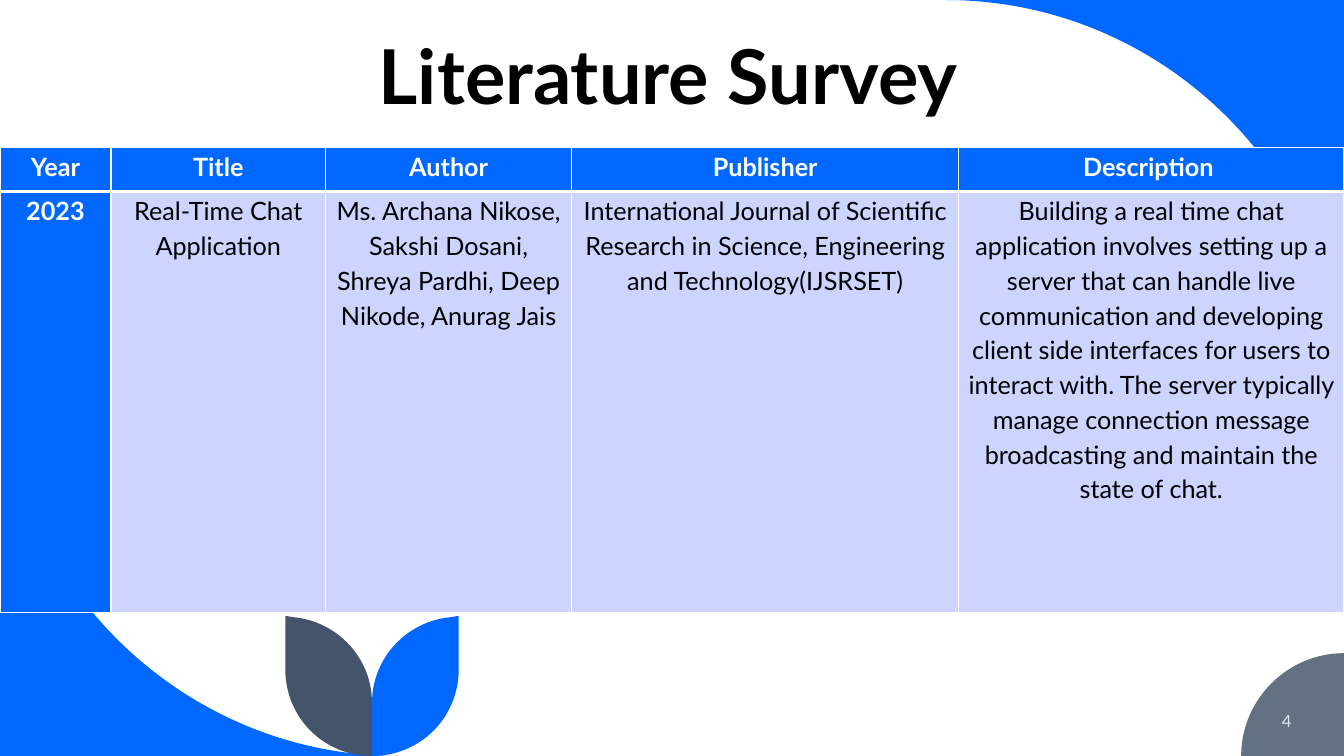
import lxml.etree
import pptx
import pptx.dml.color
import pptx.enum.text
import pptx.oxml.ns
import pptx.util

WIDTH, HEIGHT = 13.33, 7.5
FONT = "Lato"
BLUE, SLATE, GREY, LAVENDER = "0068FF", "44546A", "637183", "CCD4FF"
WHITE, BLACK, PALE = "FFFFFF", "000000", "DAE5EF"
CORNER = [[(1, 1)], [(1, 0.45), (0.55, 0), (0, 0)], [(1, 0)]]
QUARTER_DISC = [[(1, 0)], [(0.45, 0), (0, 0.45), (0, 1)], [(1, 1)]]
LEAF = [[(1, 0)], [(1, 0.38)], [(1, 0.73), (0.55, 1), (0, 1)], [(0, 0.62)],
        [(0, 0.3), (0.4, 0.04), (0.9, 0.01)]]
COLUMN_WIDTHS = [1.1, 2.13, 2.44, 3.84, 3.82]
ROW_HEIGHTS = [0.44, 4.18]
SURVEY = [
    ["Year", "Title", "Author", "Publisher", "Description "],
    [
        "2023",
        "Real-Time Chat Application",
        "Ms. Archana Nikose, Sakshi Dosani, Shreya Pardhi, Deep Nikode, Anurag Jais",
        "International Journal of Scientific Research in Science, Engineering "
        "and Technology(IJSRSET)",
        "Building a real time chat application involves setting up a server that can "
        "handle live communication and developing client side interfaces for users to "
        "interact with. The server typically manage connection message broadcasting "
        "and maintain the state of chat.",
    ],
]


def color(value):
    """Turn a hex string into a colour."""
    return pptx.dml.color.RGBColor.from_string(value)


def inches(*lengths):
    """Convert several lengths to slide units."""
    return [pptx.util.Inches(length) for length in lengths]


def add_run(paragraph, text, size, hex_color, bold=False):
    """Append a formatted run to a paragraph."""
    run = paragraph.add_run()
    run.text = text
    run.font.name = FONT
    run.font.size = pptx.util.Pt(size)
    run.font.bold = bold
    run.font.color.rgb = color(hex_color)


def bend_lines(shape, segments):
    """Merge the lines through control points into Bezier curves."""
    lines = iter(list(shape._element.iter(pptx.oxml.ns.qn("a:lnTo"))))
    for segment in segments:
        members = [next(lines) for _ in segment]
        if len(members) == 3:
            members[0].tag = pptx.oxml.ns.qn("a:cubicBezTo")
            for member in members[1:]:
                members[0].append(member[0])
                member.getparent().remove(member)


def add_outline(shapes, box, segments, fill, flip_x=False, flip_y=False):
    """Draw a filled outline in a box, mirrored if asked."""
    left, top, width, height = box
    points = [inches(left + width * (1 - x if flip_x else x),
                     top + height * (1 - y if flip_y else y))
              for segment in segments for x, y in segment]
    builder = shapes.build_freeform(*points[0], scale=1.0)
    builder.add_line_segments(points[1:], close=False)
    builder.add_line_segments([], close=True)
    shape = builder.convert_to_shape()
    bend_lines(shape, segments[1:])
    shape.shadow.inherit = False
    shape.fill.solid()
    shape.fill.fore_color.rgb = color(fill)
    shape.line.fill.background()


def add_decoration(slide, corner, disc, leaf_width, leaf_height):
    """Draw the two corners, the quarter disc and the pair of leaves."""
    shapes = slide.shapes
    add_outline(shapes, (WIDTH - corner, 0, corner, corner), CORNER, BLUE)
    add_outline(shapes, (0, HEIGHT - corner, corner, corner), CORNER, BLUE, True, True)
    add_outline(shapes, (WIDTH - disc, HEIGHT - disc, disc, disc), QUARTER_DISC, GREY)
    stem, top = 3.69, HEIGHT - leaf_height
    leaves = shapes.add_group_shape().shapes
    add_outline(leaves, (stem, top, leaf_width, leaf_height), LEAF, BLUE)
    add_outline(leaves, (stem - leaf_width, top, leaf_width, leaf_height), LEAF, SLATE, True)


def fill_title(slide, box, text):
    """Place and format the title placeholder."""
    title = slide.shapes.title
    title.left, title.top, title.width, title.height = inches(*box)
    frame = title.text_frame
    frame.word_wrap = True
    frame.vertical_anchor = pptx.enum.text.MSO_ANCHOR.BOTTOM
    paragraph = frame.paragraphs[0]
    paragraph.alignment = pptx.enum.text.PP_ALIGN.CENTER
    paragraph.line_spacing = 0.9
    add_run(paragraph, text, 54, BLACK, True)


def add_page_number(slide, box, text):
    """Write the page number at the right of its box."""
    frame = slide.shapes.add_textbox(*inches(*box)).text_frame
    frame.word_wrap = True
    frame.vertical_anchor = pptx.enum.text.MSO_ANCHOR.MIDDLE
    paragraph = frame.paragraphs[0]
    paragraph.alignment = pptx.enum.text.PP_ALIGN.RIGHT
    add_run(paragraph, text, 12, PALE)


def set_borders(cell, widths):
    """Give a cell white borders of the given widths in points."""
    properties = cell._tc.get_or_add_tcPr()
    for side, width in widths.items():
        line = lxml.etree.SubElement(properties, pptx.oxml.ns.qn(f"a:ln{side}"),
                                     w=str(pptx.util.Pt(width)))
        fill = lxml.etree.SubElement(line, pptx.oxml.ns.qn("a:solidFill"))
        lxml.etree.SubElement(fill, pptx.oxml.ns.qn("a:srgbClr"), val=WHITE)


def add_survey_table(slide, left, top):
    """Build the survey table with its header row and year column."""
    frame = slide.shapes.add_table(
        len(ROW_HEIGHTS), len(COLUMN_WIDTHS),
        *inches(left, top, sum(COLUMN_WIDTHS), sum(ROW_HEIGHTS)))
    table = frame.table
    for column, width in zip(table.columns, COLUMN_WIDTHS):
        column.width = pptx.util.Inches(width)
    for row, height in zip(table.rows, ROW_HEIGHTS):
        row.height = pptx.util.Inches(height)
    for row_index, texts in enumerate(SURVEY):
        for column_index, text in enumerate(texts):
            is_header = row_index == 0
            is_heading = is_header or column_index == 0
            cell = table.cell(row_index, column_index)
            cell.margin_left = cell.margin_right = pptx.util.Inches(0.07)
            cell.margin_top = cell.margin_bottom = 0
            set_borders(cell, {"L": 1, "R": 1, "T": 1 if is_header else 3,
                               "B": 3 if is_header else 1})
            cell.fill.solid()
            cell.fill.fore_color.rgb = color(BLUE if is_heading else LAVENDER)
            paragraph = cell.text_frame.paragraphs[0]
            paragraph.alignment = pptx.enum.text.PP_ALIGN.CENTER
            paragraph.line_spacing = 1.15
            paragraph.space_after = pptx.util.Pt(10)
            add_run(paragraph, text, 18, WHITE if is_heading else BLACK, is_heading)


def main():
    """Build and save the presentation."""
    presentation = pptx.Presentation()
    presentation.slide_width, presentation.slide_height = inches(WIDTH, HEIGHT)
    slide = presentation.slides.add_slide(presentation.slide_layouts[5])
    add_decoration(slide, corner=3.95, disc=1.02, leaf_width=0.86, leaf_height=1.39)
    fill_title(slide, (1.28, 0.45, 10.69, 0.8), "Literature Survey")
    add_page_number(slide, (11.1, 6.95, 1.81, 0.4), "4")
    add_survey_table(slide, 0, 1.46)
    presentation.save("out.pptx")


if __name__ == "__main__":
    main()
